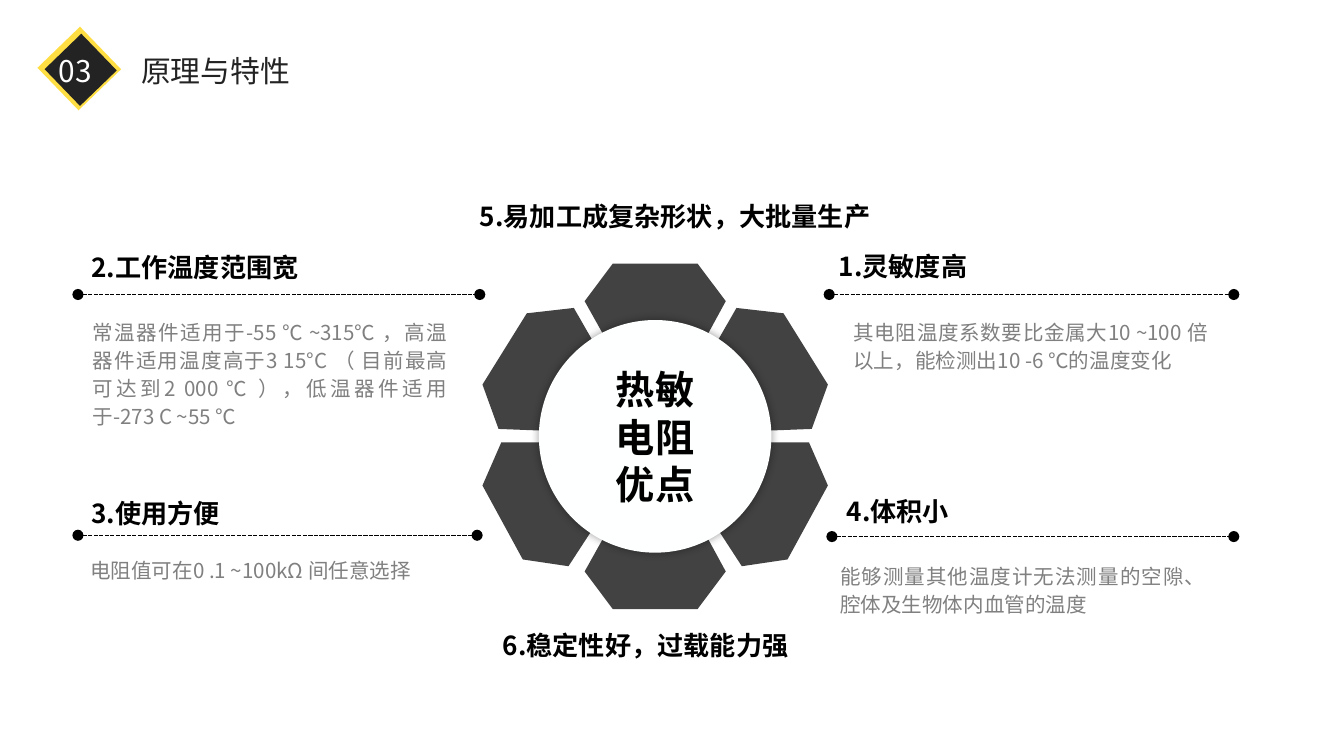
from dataclasses import dataclass

from lxml import etree
from pptx import Presentation
from pptx.dml.color import RGBColor
from pptx.enum import dml, shapes, text
from pptx.oxml import parse_xml
from pptx.oxml.ns import nsdecls, qn
from pptx.util import Inches, Pt


@dataclass(frozen=True)
class Theme:
    font: str = "Noto Sans CJK SC"
    black: str = "000000"
    dark: str = "232323"
    petal: str = "424242"
    gray: str = "808080"
    yellow: str = "FFDE43"
    white: str = "FFFFFF"
    disc: str = "FEFFFF"
    hub: int = 21
    title: int = 16
    heading: int = 14
    body: int = 11


T = Theme()
CENTER_X, CENTER_Y = 4.875, 3.245
JUSTIFY = text.PP_ALIGN.JUSTIFY

HEADINGS = [
    ("1.灵敏度高", 6.17, 1.82, 1.23),
    ("2.工作温度范围宽", 0.61, 1.83, 1.79),
    ("3.使用方便", 0.61, 3.66, 1.6),
    ("4.体积小", 6.23, 3.64, 1.03),
    ("5.易加工成复杂形状，大批量生产", 3.5, 1.45, 3.06),
    ("6.稳定性好，过载能力强", 3.67, 4.64, 2.5),
]
DETAILS = [
    ("其电阻温度系数要比金属大10 ~100 倍以上，能检测出10 -6 ℃的温度变化", 6.27, 2.31, 2.8, 0.49),
    ("常温器件适用于-55 ℃ ~315℃ ，高温器件适用温度高于3 15°C （ 目前最高可达到2 000 ℃ ），"
     "低温器件适用于-273 C ~55 ℃", 0.61, 2.31, 2.8, 0.91),
    ("电阻值可在0 .1 ~100kΩ 间任意选择", 0.59, 4.08, 2.8, 0.27),
    ("能够测量其他温度计无法测量的空隙、腔体及生物体内血管的温度", 6.17, 4.13, 2.88, 0.49),
]
RULES = [(0.58, 3.57, 2.19), (0.58, 3.55, 3.98), (6.17, 9.18, 2.19), (6.19, 9.18, 3.99)]

TOP_PETAL = [(4.35, 2.24), (4.56, 1.96), (5.19, 1.96), (5.4, 2.24), (5.03, 2.92), (4.73, 2.92)]
LEFT_PETALS = [
    [(3.71, 3.19), (3.59, 2.86), (3.92, 2.33), (4.27, 2.29), (4.66, 2.97), (4.5, 3.22)],
    [(4.23, 4.21), (3.89, 4.16), (3.59, 3.61), (3.73, 3.29), (4.51, 3.29), (4.66, 3.55)],
]


def rgb(color):
    return RGBColor.from_string(color)


def write(sp, content, *, size, color=T.black, bold=False, align=text.PP_ALIGN.LEFT,
          anchor=text.MSO_ANCHOR.TOP, inset=(0.1, 0.05), spacing=None, wrap=True, grow=True):
    tf = sp.text_frame
    tf.word_wrap = wrap
    tf.auto_size = text.MSO_AUTO_SIZE.SHAPE_TO_FIT_TEXT if grow else text.MSO_AUTO_SIZE.NONE
    tf.vertical_anchor = anchor
    tf.margin_left = tf.margin_right = Inches(inset[0])
    tf.margin_top = tf.margin_bottom = Inches(inset[1])
    tf.text = content
    for p in tf.paragraphs:
        p.alignment = align
        if spacing:
            p.line_spacing = spacing
        for r in p.runs:
            r.font.size, r.font.bold, r.font.name = Pt(size), bold, T.font
            r.font.color.rgb = rgb(color)
            etree.SubElement(r.font._element, qn("a:ea"), typeface=T.font)


def place(sp, *box):
    sp.left, sp.top, sp.width, sp.height = map(Inches, box)


def add_text(s, content, *box, **style):
    write(s.shapes.add_textbox(*map(Inches, box)), content, **style)


def paint(sp, color):
    sp.shadow.inherit = False
    sp.fill.solid()
    sp.fill.fore_color.rgb = rgb(color)
    sp.line.fill.background()


def add_shape(s, kind, color, *box, rotation=0):
    sp = s.shapes.add_shape(kind, *map(Inches, box))
    sp.rotation = rotation
    paint(sp, color)
    return sp


def add_petal(s, points):
    corners = [(Inches(x), Inches(y)) for x, y in points]
    builder = s.shapes.build_freeform(*corners[0])
    builder.add_line_segments(corners[1:], close=True)
    paint(builder.convert_to_shape(), T.petal)


def add_rule(s, left, right, y):
    line = s.shapes.add_connector(shapes.MSO_CONNECTOR.STRAIGHT,
                                  Inches(left), Inches(y), Inches(right), Inches(y))
    line.line.color.rgb = rgb(T.black)
    line.line.width = Pt(0.75)
    line.line.dash_style = dml.MSO_LINE.SQUARE_DOT
    ln = line.line._get_or_add_ln()
    for end in ("a:headEnd", "a:tailEnd"):
        etree.SubElement(ln, qn(end), type="oval")
    etree.SubElement(line._element.spPr, qn("a:effectLst"))


def add_glow(sp):
    effects = sp._element.spPr.find(qn("a:effectLst"))
    effects.append(parse_xml(
        f'<a:outerShdw {nsdecls("a")} blurRad="{Pt(5)}" dist="0" dir="0" rotWithShape="0">'
        f'<a:srgbClr val="{T.black}"><a:alpha val="40000"/></a:srgbClr></a:outerShdw>'))


def add_header(s):
    square = shapes.MSO_SHAPE.RECTANGLE
    add_shape(s, square, T.yellow, 0.37, 0.29, 0.44, 0.44, rotation=46)
    add_shape(s, square, T.dark, 0.41, 0.33, 0.38, 0.38, rotation=46)
    add_text(s, "03", 0.34, 0.34, 0.46, 0.37, size=T.title, color=T.white, wrap=False)
    title = s.shapes.title
    place(title, 0.95, 0.34, 1.32, 0.37)
    write(title, "原理与特性", size=T.title, color=T.dark, wrap=False)


def add_flower(s):
    add_petal(s, TOP_PETAL)
    add_petal(s, [(x, 2 * CENTER_Y - y) for x, y in TOP_PETAL])
    for petal in LEFT_PETALS:
        add_petal(s, petal)
        add_petal(s, [(2 * CENTER_X - x, y) for x, y in petal])
    hub = add_shape(s, shapes.MSO_SHAPE.OVAL, T.disc, 4.01, 2.38, 1.73, 1.73)
    add_glow(hub)
    write(hub, "热敏\n电阻\n优点", size=T.hub, bold=True, align=text.PP_ALIGN.CENTER,
          anchor=text.MSO_ANCHOR.MIDDLE, inset=(0.07, 0.04), grow=False)


def main():
    prs = Presentation()
    prs.slide_width, prs.slide_height = Inches(10), Inches(5.51)
    s = prs.slides.add_slide(prs.slide_layouts[5])
    for rule in RULES:
        add_rule(s, *rule)
    add_flower(s)
    add_header(s)
    for content, left, top, width in HEADINGS:
        add_text(s, content, left, top, width, 0.31, size=T.heading, bold=True,
                 align=JUSTIFY, inset=(0.07, 0.04))
    for content, *box in DETAILS:
        add_text(s, content, *box, size=T.body, color=T.gray, align=JUSTIFY,
                 inset=(0.08, 0.04), spacing=1.14)
    prs.save("out.pptx")


if __name__ == "__main__":
    main()
